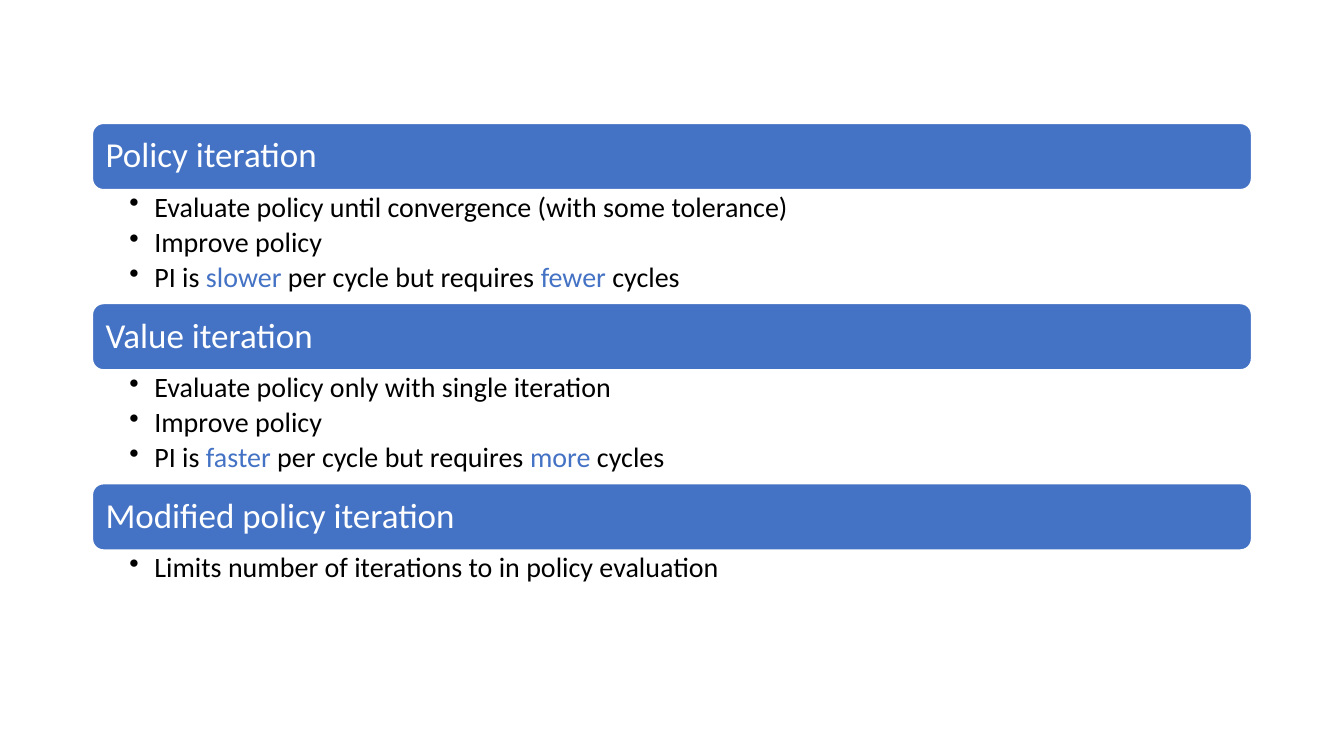
from dataclasses import dataclass

from lxml import etree
from pptx import Presentation
from pptx.dml.color import RGBColor
from pptx.enum.shapes import MSO_SHAPE
from pptx.enum.text import MSO_ANCHOR, PP_ALIGN
from pptx.oxml.ns import qn
from pptx.util import Cm, Pt

ROUND = MSO_SHAPE.ROUNDED_RECTANGLE
MIDDLE, TOP = MSO_ANCHOR.MIDDLE, MSO_ANCHOR.TOP
LEFT = PP_ALIGN.LEFT


@dataclass(frozen=True)
class Theme:
    """Colours, font and type sizes of the slide."""
    blue: RGBColor = RGBColor(0x44, 0x72, 0xC4)
    white: RGBColor = RGBColor(0xFF, 0xFF, 0xFF)
    black: RGBColor = RGBColor(0, 0, 0)
    font: str = "Calibri"
    head: float = 25
    body: float = 20


THEME = Theme()
HEAD = 1.67
TOPICS = [
    ("Policy iteration", 2.87, [
        "Evaluate policy until convergence (with some tolerance)",
        "Improve policy",
        "PI is *slower* per cycle but requires *fewer* cycles"]),
    ("Value iteration", 2.87, [
        "Evaluate policy only with single iteration",
        "Improve policy",
        "PI is *faster* per cycle but requires *more* cycles"]),
    ("Modified policy iteration", 1.14, [
        "Limits number of iterations to in policy evaluation"]),
]


def add_bullet(para):
    """Give a paragraph a hanging bullet."""
    props = para._p.get_or_add_pPr()
    props.set("marL", str(Cm(0.63)))
    props.set("indent", str(-Cm(0.63)))
    etree.SubElement(props, qn("a:buChar")).set("char", "•")


def write(shape, lines, size, color, inset, anchor=TOP, after=0, bullet=False):
    """Fill a shape with lines, where asterisks enclose blue words."""
    frame = shape.text_frame
    frame.word_wrap = True
    frame.vertical_anchor = anchor
    (frame.margin_left, frame.margin_top,
     frame.margin_right, frame.margin_bottom) = map(Cm, inset)
    for i, line in enumerate(lines):
        para = frame.add_paragraph() if i else frame.paragraphs[0]
        para.alignment = LEFT
        para.line_spacing = 0.9
        para.space_after = Pt(after)
        if bullet:
            para.level = 1
            add_bullet(para)
        for j, part in enumerate(line.split("*")):
            run = para.add_run()
            run.text = part
            run.font.name = THEME.font
            run.font.size = Pt(size)
            run.font.color.rgb = THEME.blue if j % 2 else color


def add_topic(slide, left, top, width, height, title, points):
    """Place a heading bar with its bullet list below."""
    bar = slide.shapes.add_shape(ROUND, Cm(left), Cm(top), Cm(width), Cm(HEAD))
    bar.shadow.inherit = False
    bar.fill.solid()
    bar.fill.fore_color.rgb = THEME.blue
    bar.line.color.rgb = THEME.white
    bar.line.width = Pt(1)
    write(bar, [title], THEME.head, THEME.white, (0.25,) * 4, anchor=MIDDLE)
    box = slide.shapes.add_textbox(
        Cm(left), Cm(top + HEAD), Cm(width), Cm(height - HEAD))
    write(box, points, THEME.body, THEME.black, (0.93, 0.08, 0.48, 0.08),
          after=3.5, bullet=True)


def add_topics(slide, left, top, width):
    """Stack the topics from the top down."""
    for title, depth, points in TOPICS:
        add_topic(slide, left, top, width, HEAD + depth, title, points)
        top += HEAD + depth


def main():
    """Build and save the slide."""
    deck = Presentation()
    deck.slide_width, deck.slide_height = Cm(33.87), Cm(19.05)
    slide = deck.slides.add_slide(deck.slide_layouts[6])
    add_topics(slide, 2.33, 3.11, 29.21)
    deck.save("out.pptx")


if __name__ == "__main__":
    main()
